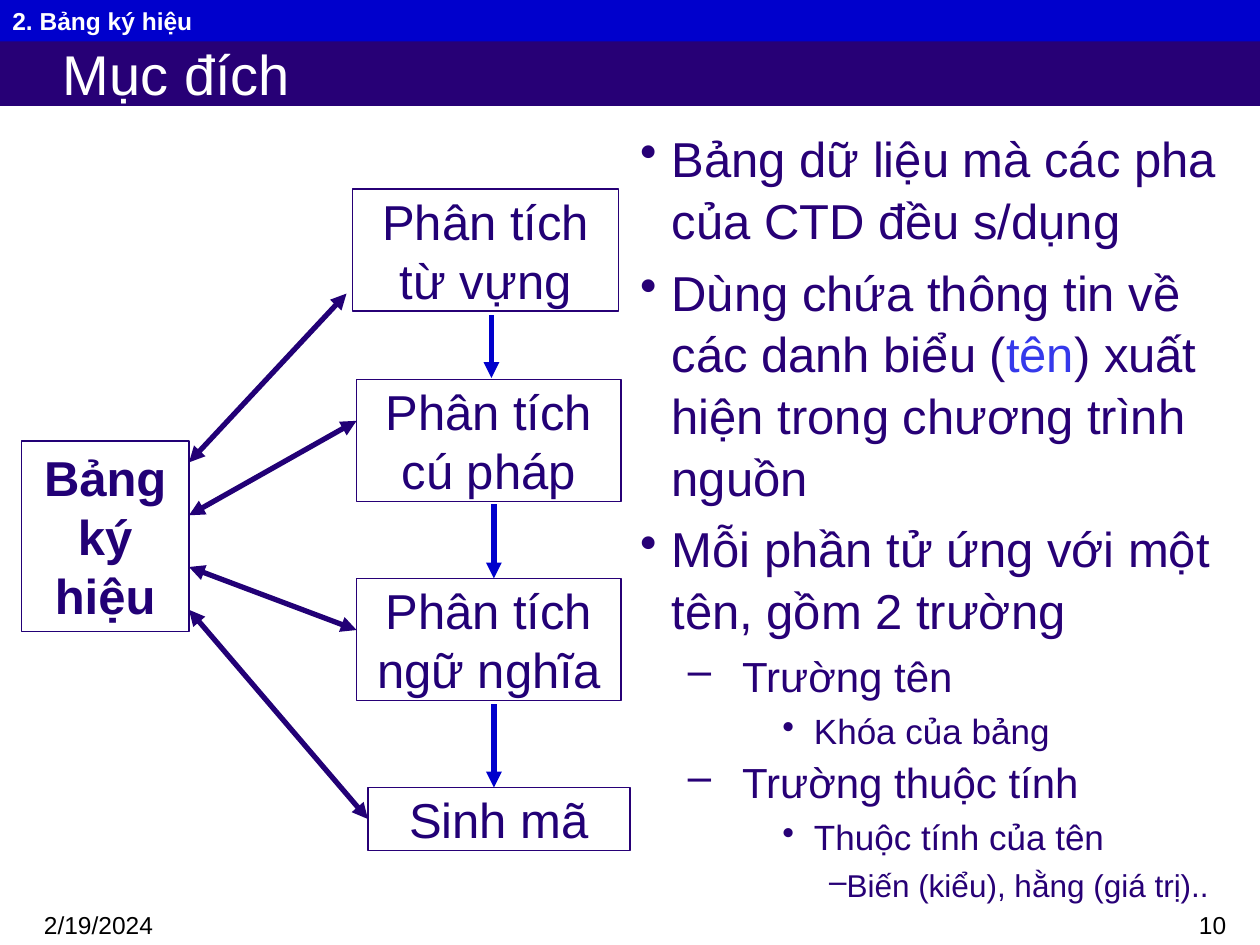
from pptx import Presentation
from pptx.dml.color import RGBColor
from pptx.enum import shapes, text
from pptx.util import Inches, Pt
from pptx.oxml.ns import qn
from lxml import etree

NAVY = RGBColor(0x27, 0x00, 0x76)
INK = RGBColor(0x22, 0x00, 0x76)
BLUE = RGBColor(0x00, 0x00, 0xCC)
LINK = RGBColor(0x35, 0x39, 0xEB)
WHITE = RGBColor(0xFF, 0xFF, 0xFF)
BLACK = RGBColor(0x00, 0x00, 0x00)
LEFT, MID, RIGHT = text.PP_ALIGN.LEFT, text.PP_ALIGN.CENTER, text.PP_ALIGN.RIGHT


def add_run(para, words, size, color, bold=False):
    run = para.add_run()
    run.text = words
    run.font.name = "Arial"
    run.font.size = Pt(size)
    run.font.bold = bold
    run.font.color.rgb = color


def set_frame(shape, pads, anchor):
    frame = shape.text_frame
    frame.word_wrap = True
    frame.vertical_anchor = anchor
    frame.margin_left, frame.margin_top, frame.margin_right, frame.margin_bottom = map(Inches, pads)
    return frame


def add_box(slide, box, words, size, color, fill=None, line=None, align=MID,
            pads=(0.1, 0.01, 0.1, 0.01), bold=False):
    shape = slide.shapes.add_shape(shapes.MSO_SHAPE.RECTANGLE, *map(Inches, box))
    shape.shadow.inherit = False
    if fill is None:
        shape.fill.background()
    else:
        shape.fill.solid()
        shape.fill.fore_color.rgb = fill
    if line is None:
        shape.line.fill.background()
    else:
        shape.line.color.rgb = line
        shape.line.width = Pt(0.75)
    para = set_frame(shape, pads, text.MSO_ANCHOR.MIDDLE).paragraphs[0]
    para.alignment = align
    add_run(para, words, size, color, bold)
    return shape


def add_arrow(slide, start, end, color, ends):
    line = slide.shapes.add_connector(
        shapes.MSO_CONNECTOR.STRAIGHT, *map(Inches, start + end))
    line.line.color.rgb = color
    line.line.width = Pt(3)
    for end_tag in ends:
        etree.SubElement(line.line._get_or_add_ln(), qn(end_tag), type="triangle")
    etree.SubElement(line._element.spPr, qn("a:effectLst"))
    return line


def add_head(slide, box):
    left, top, width, height = box
    add_box(slide, (left, top + 0.32, width, height - 0.32), "Mục đích", 32, WHITE,
            fill=NAVY, align=LEFT, pads=(0.5, 0, 0.1, 0))
    add_box(slide, (left, top, width, 0.33), "2. Bảng ký hiệu", 14, WHITE,
            fill=BLUE, align=LEFT, bold=True)


def add_list(slide, box):
    styles = [(28, 0.25, -0.25, "•"), (24, 0.81, -0.43, "–"),
              (20, 1.38, -0.25, "•"), (18, 1.62, -0.12, "–")]
    items = [
        (0, 0, [("Bảng dữ liệu mà các pha của CTD đều s/dụng", NAVY)]),
        (0, 0.2, [("Dùng chứa thông tin về các danh biểu (", NAVY), ("tên", LINK),
                  (") xuất hiện trong chương trình nguồn", NAVY)]),
        (0, 0.2, [("Mỗi phần tử ứng với một tên, gồm 2 trường", NAVY)]),
        (1, 0.2, [("Trường tên", NAVY)]),
        (2, 0.2, [("Khóa của bảng", NAVY)]),
        (1, 0.05, [("Trường thuộc tính", NAVY)]),
        (2, 0.2, [("Thuộc tính của tên", NAVY)]),
        (3, 0.2, [("Biến (kiểu), hằng (giá trị)..", NAVY)]),
    ]
    shape = slide.shapes.add_textbox(*map(Inches, box))
    frame = set_frame(shape, (0, 0.05, 0, 0.05), text.MSO_ANCHOR.TOP)
    for i, (level, gap, runs) in enumerate(items):
        size, left, hang, mark = styles[level]
        para = frame.add_paragraph() if i else frame.paragraphs[0]
        para.level = level
        para.line_spacing = 1.05
        para.space_before = Pt(size * gap)
        props = para._p.get_or_add_pPr()
        props.set("marL", str(Inches(left)))
        props.set("indent", str(Inches(hang)))
        etree.SubElement(props, qn("a:buChar"), char=mark)
        for words, color in runs:
            add_run(para, words, size, color)


def add_flow(slide, box):
    left, top, width, height = box
    steps = [("Phân tích từ vựng", 2.63, 0, 2.11, 0.97),
             ("Phân tích cú pháp", 2.66, 1.51, 2.1, 0.97),
             ("Phân tích ngữ nghĩa", 2.66, 3.09, 2.1, 0.97),
             ("Sinh mã", 2.75, 4.75, 2.08, 0.5)]
    for words, x, y, w, h in steps:
        last = add_box(slide, (left + x, top + y, w, h), words, 28, INK, line=NAVY)
    add_box(slide, (left, top + 2, 1.33, 1.51), "Bảng ký hiệu", 28, INK,
            line=INK, pads=(0.1, 0.05, 0.1, 0.05), bold=True)
    for x, y, end in [(3.73, 1, 1.5), (3.75, 2.5, 3.09), (3.75, 4.09, 4.75)]:
        add_arrow(slide, (left + x, top + y), (left + x, top + end), BLUE, ["a:tailEnd"])
    for y, x, end in [(2.17, 2.58, 0.83), (2.59, 2.66, 1.84),
                      (3, 2.66, 3.5), (3.34, 2.75, 5)]:
        line = add_arrow(slide, (left + 1.33, top + y), (left + x, top + end), INK,
                         ["a:headEnd", "a:tailEnd"])
    line.end_connect(last, 1)


def add_foot(slide, box):
    left, top, width, height = box
    for x, w, words, align in [(left, 1.92, "2/19/2024", LEFT),
                               (left + width - 2.08, 2.08, "10", RIGHT)]:
        shape = slide.shapes.add_textbox(*map(Inches, (x, top, w, height)))
        para = set_frame(shape, (0.1, 0.05, 0.1, 0.05), text.MSO_ANCHOR.TOP).paragraphs[0]
        para.alignment = align
        add_run(para, words, 14, BLACK)


def main():
    deck = Presentation()
    deck.slide_width, deck.slide_height = Inches(10), Inches(7.5)
    slide = deck.slides.add_slide(deck.slide_layouts[6])
    add_foot(slide, (0.25, 7.17, 9.58, 0.33))
    add_head(slide, (0, 0, 10, 0.84))
    add_list(slide, (5.08, 0.95, 4.71, 6.43))
    add_flow(slide, (0.17, 1.5, 4.83, 5.25))
    deck.save("out.pptx")


if __name__ == "__main__":
    main()
